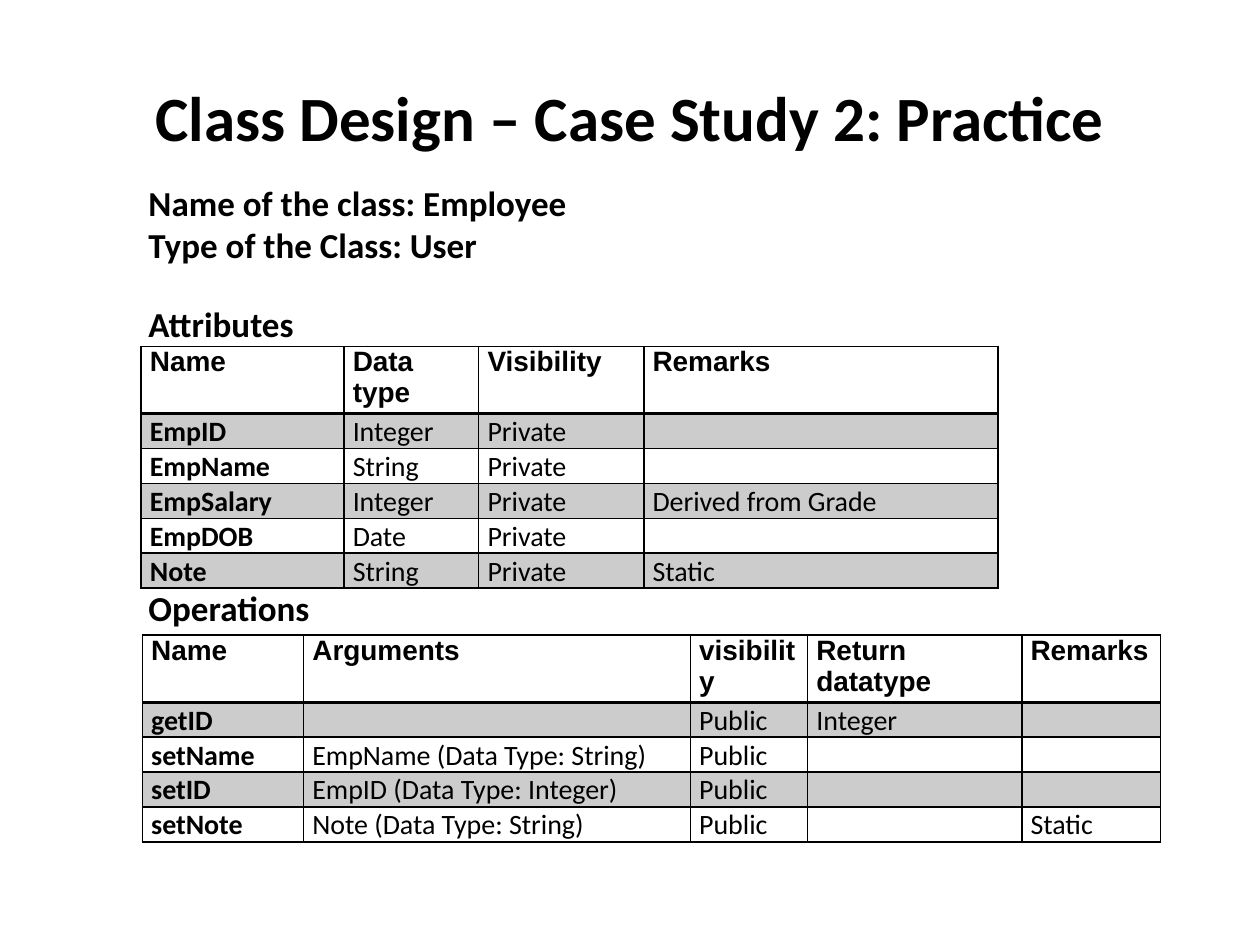
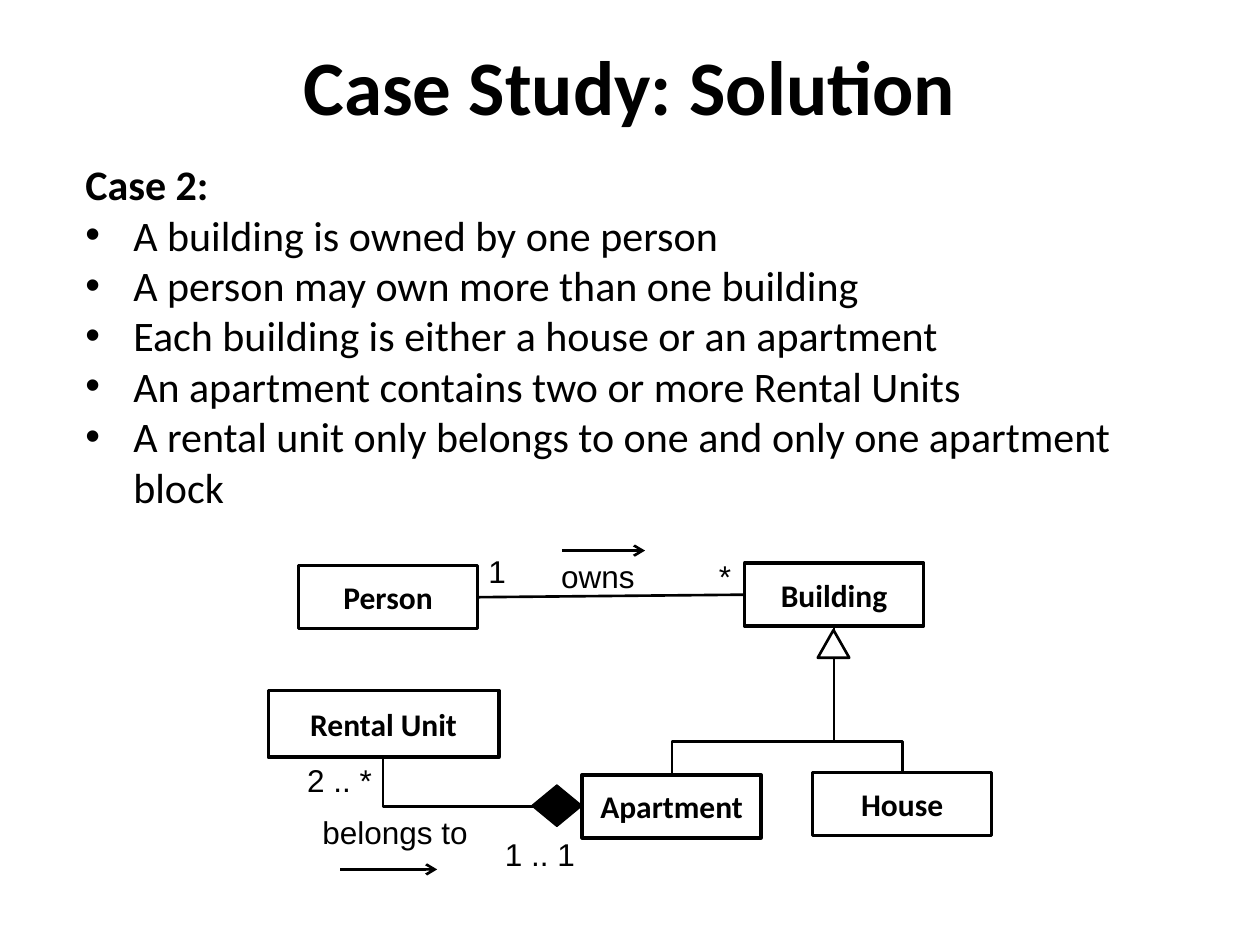
from lxml import etree
from pptx import Presentation
from pptx.dml.color import RGBColor
from pptx.enum.shapes import MSO_CONNECTOR, MSO_SHAPE
from pptx.enum.text import MSO_ANCHOR, PP_ALIGN
from pptx.oxml import parse_xml
from pptx.oxml.ns import nsdecls, qn
from pptx.util import Inches, Pt

BLACK = RGBColor(0, 0, 0)
WHITE = RGBColor(255, 255, 255)
GREY = RGBColor(0xCC, 0xCC, 0xCC)
SANS, BODY = "Arial", "Calibri"
LEFT, CENTER = PP_ALIGN.LEFT, PP_ALIGN.CENTER
TOP, MIDDLE = MSO_ANCHOR.TOP, MSO_ANCHOR.MIDDLE
STRAIGHT, ELBOW = MSO_CONNECTOR.STRAIGHT, MSO_CONNECTOR.ELBOW
RECT, TRIANGLE, DIAMOND = (MSO_SHAPE.RECTANGLE, MSO_SHAPE.ISOSCELES_TRIANGLE,
                           MSO_SHAPE.DIAMOND)

ATTRS = [
    ["Name", "Data type", "Visibility", "Remarks"],
    ["EmpID", "Integer", "Private", ""],
    ["EmpName", "String", "Private", ""],
    ["EmpSalary", "Integer", "Private", "Derived from Grade"],
    ["EmpDOB", "Date", "Private", ""],
    ["Note", "String", "Private", "Static"],
]
OPS = [
    ["Name", "Arguments", "visibility", "Return datatype", "Remarks"],
    ["getID", "", "Public", "Integer", ""],
    ["setName", "EmpName (Data Type: String)", "Public", "", ""],
    ["setID", "EmpID (Data Type: Integer)", "Public", "", ""],
    ["setNote", "Note (Data Type: String)", "Public", "", "Static"],
]
RULES = [
    "A building is owned by one person",
    "A person may own more than one building",
    "Each building is either a house or an apartment",
    "An apartment contains two or more Rental Units",
    "A rental unit only belongs to one and only one apartment block",
]


def style(para, size, bold=False, face=BODY, align=LEFT):
    para.alignment = align
    font = para.font
    font.size, font.bold, font.name = Pt(size), bold, face
    font.color.rgb = BLACK


def add_text(slide, box, lines, size, bold=False, face=BODY, align=LEFT,
             anchor=MIDDLE, side=0.1):
    frame = slide.shapes.add_textbox(*map(Inches, box)).text_frame
    frame.word_wrap = True
    frame.vertical_anchor = anchor
    frame.margin_left = frame.margin_right = Inches(side)
    frame.text = "\n".join(lines)
    for para in frame.paragraphs:
        style(para, size, bold, face, align)
    return frame


def add_title(slide, text, size, height):
    add_text(slide, (0.5, 0.3, 9, height), [text], size, True, align=CENTER)


def set_edges(cell, top, bottom):
    """Draw black borders; top and bottom are widths in points."""
    props = cell._tc.get_or_add_tcPr()
    for i, (side, width) in enumerate(zip("LRTB", (1, 1, top, bottom))):
        props.insert(i, parse_xml(
            f'<a:ln{side} {nsdecls("a")} w="{Pt(width)}"><a:solidFill>'
            f'<a:srgbClr val="{BLACK}"/></a:solidFill></a:ln{side}>'))


def fill_cell(cell, text, row, col):
    head = row == 0
    cell.margin_left = cell.margin_right = Inches(0.07)
    cell.margin_top = Inches(0 if head else 0.01)
    cell.margin_bottom = 0
    if row % 2:
        cell.fill.solid()
        cell.fill.fore_color.rgb = GREY
    else:
        cell.fill.background()
    set_edges(cell, 2 if row == 1 else 1, 2 if head else 1)
    cell.text = text
    para = cell.text_frame.paragraphs[0]
    style(para, 16, head or col == 0, SANS if head else BODY)
    if not text:
        etree.SubElement(para._p, qn("a:endParaRPr"), sz="1600")


def add_grid(slide, left, top, widths, rows):
    table = slide.shapes.add_table(
        len(rows), len(widths), Inches(left), Inches(top),
        Inches(sum(widths)), Inches(0.27 * len(rows))).table
    table.first_row = table.horz_banding = False
    for column, width in zip(table.columns, widths):
        column.width = Inches(width)
    for r, row in enumerate(rows):
        table.rows[r].height = Inches(0.27)
        for c, text in enumerate(row):
            fill_cell(table.cell(r, c), text, r, c)


def add_bullets(slide, box, head, items):
    frame = add_text(slide, box, [head, *items], 24, anchor=TOP)
    first, *rest = frame.paragraphs
    first.font.bold = True
    for para in rest:
        props = para._p.get_or_add_pPr()
        props.set("marL", str(Inches(0.38)))
        props.set("indent", str(-Inches(0.38)))
        for i, tag in enumerate(('buFont typeface="Arial"', 'buChar char="•"')):
            props.insert(i, parse_xml(f'<a:{tag} {nsdecls("a")}/>'))


def add_node(slide, kind, box, fill=None, width=2, text=""):
    node = slide.shapes.add_shape(kind, *map(Inches, box))
    node.shadow.inherit = False
    if fill is None:
        node.fill.background()
    else:
        node.fill.solid()
        node.fill.fore_color.rgb = fill
    node.line.color.rgb = BLACK
    node.line.width = Pt(width)
    if text:
        frame = node.text_frame
        frame.text = text
        frame.vertical_anchor = MIDDLE
        frame.margin_left = frame.margin_right = 0
        style(frame.paragraphs[0], 18, True, align=CENTER)
    return node


def add_line(slide, start, end, kind=STRAIGHT, arrow=False):
    line = slide.shapes.add_connector(kind, *map(Inches, start + end))
    line.line.color.rgb = BLACK
    line.line.width = Pt(1.5)
    if arrow:
        etree.SubElement(line.line._get_or_add_ln(), qn("a:tailEnd"), type="arrow")
    etree.SubElement(line._element.spPr, qn("a:effectLst"))
    return line


def add_bend(slide, box, preset, turn, flips, adjust=None):
    """Add a turned elbow connector; box is its place before the turn."""
    x, y, w, h = box
    props = add_line(slide, (x, y), (x + w, y + h), ELBOW)._element.spPr
    frame = props.find(qn("a:xfrm"))
    frame.set("rot", str(turn * 60000))
    for flip in flips:
        frame.set(flip, "1")
    shape = props.find(qn("a:prstGeom"))
    shape.set("prst", preset)
    if adjust is not None:
        etree.SubElement(shape.find(qn("a:avLst")), qn("a:gd"), name="adj1",
                         fmla=f"val {round(adjust * 100000)}")


def add_diagram(slide, left, top):
    def at(x, y, *size):
        return (left + x, top + y, *size)

    def box(text, x, y, w=1.42, h=0.5):
        return add_node(slide, RECT, at(x, y, w, h), text=text)

    person = box("Person", 0.24, 0.16)
    building = box("Building", 3.78, 0.14)
    box("Apartment", 2.49, 1.82)
    box("House", 4.32, 1.8)
    box("Rental Unit", 0, 1.15, 1.83, 0.53)

    owns = add_line(slide, at(1.66, 0.41), at(3.78, 0.39))
    owns.begin_connect(person, 3)
    owns.end_connect(building, 1)
    stem = add_line(slide, at(4.49, 1.55), at(4.49, 0.64))
    stem.end_connect(building, 2)
    add_node(slide, TRIANGLE, at(4.36, 0.67, 0.25, 0.22), WHITE, 1.5)
    add_bend(slide, at(4.11, 0.9, 0.02, 1.83), "bentConnector3", 90,
             ("flipH", "flipV"), 13.5)
    add_node(slide, DIAMOND, at(2.09, 1.9, 0.4, 0.33), BLACK, 0.75)
    add_bend(slide, at(1.51, 1.09, 0.38, 1.58), "bentConnector2", 270, ("flipH",))

    for x, y, size in ((2.33, 0.04, 0.66), (0.57, 2.57, 0.77)):
        add_line(slide, at(x, y), at(x + size, y), arrow=True)
    for text, x, y, w in (("owns", 2.03, 0.04, 1.17), ("*", 3.26, 0.04, 0.73),
                          ("1", 1.45, 0, 0.73), ("1 .. 1", 1.75, 2.25, 0.81),
                          ("belongs to", 0.2, 2.07, 1.61),
                          ("2 .. *", 0.2, 1.66, 0.73)):
        add_text(slide, at(x, y, w, 0.4), [text], 18, face=SANS, align=CENTER,
                 anchor=TOP, side=0)


def build_design(slide):
    add_title(slide, "Class Design – Case Study 2: Practice", 36, 1.25)
    heads = ((1.39, 0.77, ["Name of the class: Employee", "Type of the Class: User"]),
             (2.35, 0.44, ["Attributes"]), (4.6, 0.44, ["Operations"]))
    for top, height, lines in heads:
        add_text(slide, (1.08, top, 3.55, height), lines, 20, True)
    add_grid(slide, 1.12, 2.75, (1.61, 1.07, 1.31, 2.81), ATTRS)
    add_grid(slide, 1.13, 5.04, (1.28, 3.07, 0.93, 1.7, 1.1), OPS)


def build_answer(slide):
    add_title(slide, "Case Study: Solution", 44, 0.75)
    add_bullets(slide, (0.58, 1.21, 8.83, 2.95), "Case 2:", RULES)
    add_diagram(slide, 2.13, 4.33)


def main():
    deck = Presentation()
    deck.slide_width, deck.slide_height = Inches(10), Inches(7.5)
    for build in (build_design, build_answer):
        build(deck.slides.add_slide(deck.slide_layouts[6]))
    deck.save("out.pptx")


if __name__ == "__main__":
    main()
